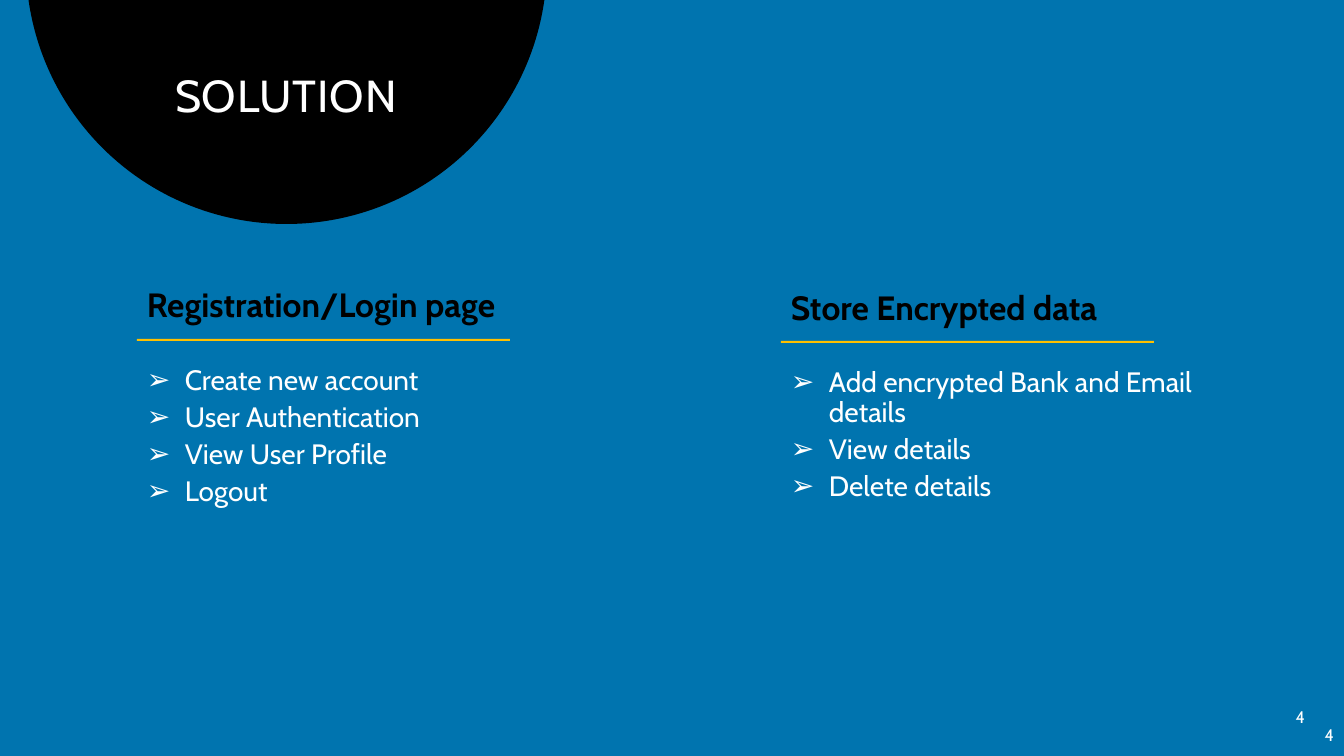
"""Build the SOLUTION slide with two headed bullet columns."""
import lxml.etree
import pptx
import pptx.dml.color
import pptx.enum.shapes
import pptx.enum.text
import pptx.oxml.ns
import pptx.util

COLOURS = {"blue": "0074AF", "black": "000000", "white": "FFFFFF", "gold": "FFC000"}
ALIGN = pptx.enum.text.PP_ALIGN
ANCHOR = pptx.enum.text.MSO_ANCHOR
SHAPE = pptx.enum.shapes.MSO_SHAPE


class SlideBuilder:
    """Hold the style and the current slide, and add its elements."""

    font = "Cabin"
    scale = 914400 / 100.8
    bullet_indent = 38

    def __init__(self, deck):
        """Set the slide size and start a title-only page."""
        deck.slide_width, deck.slide_height = self.emu(1344), self.emu(756)
        self.page = deck.slides.add_slide(deck.slide_layouts[5])
        self.paint(self.page.background.fill, "blue")

    def emu(self, px):
        """Turn px into EMU."""
        return pptx.util.Emu(round(px * self.scale))

    def colour(self, name):
        """Look up a named colour."""
        return pptx.dml.color.RGBColor.from_string(COLOURS[name])

    def paint(self, fill, name):
        """Make a fill solid in a named colour."""
        fill.solid()
        fill.fore_color.rgb = self.colour(name)

    def shape(self, kind, left, top, width, height, fill):
        """Add a plain filled shape without outline."""
        shape = self.page.shapes.add_shape(kind, *map(self.emu, (left, top, width, height)))
        shape.shadow.inherit = False
        self.paint(shape.fill, fill)
        shape.line.fill.background()

    def style(self, para, size, colour, bold=False):
        """Format every run of a paragraph."""
        for span in para.runs:
            span.font.name = self.font
            span.font.size = pptx.util.Pt(size)
            span.font.bold = bold
            span.font.color.rgb = self.colour(colour)

    def textbox(self, left, top, width, height, text):
        """Add a wrapping text box and return its frame."""
        box = self.page.shapes.add_textbox(*map(self.emu, (left, top, width, height)))
        box.text_frame.word_wrap = True
        box.text_frame.text = text
        return box.text_frame

    def title(self, left, top, width, height, text):
        """Place and format the title in front of the shapes so far."""
        title = self.page.shapes.title
        title.element.getparent().append(title.element)
        title.left, title.top, title.width, title.height = map(
            self.emu, (left, top, width, height))
        frame = title.text_frame
        frame.text = text
        frame.word_wrap = True
        frame.auto_size = pptx.enum.text.MSO_AUTO_SIZE.SHAPE_TO_FIT_TEXT
        frame.vertical_anchor = ANCHOR.TOP
        frame.margin_left = frame.margin_right = self.emu(16)
        frame.margin_top, frame.margin_bottom = self.emu(46), self.emu(5)
        para = frame.paragraphs[0]
        para.alignment = ALIGN.CENTER
        para.line_spacing = 0.9
        self.style(para, 32, "white")
        para.runs[0].font._element.set("spc", "60")

    def bullet(self, para):
        """Give a paragraph a hanging arrow bullet."""
        properties = para._p.get_or_add_pPr()
        indent = self.emu(self.bullet_indent)
        properties.set("marL", str(indent))
        properties.set("indent", str(-indent))
        tag = pptx.oxml.ns.qn
        lxml.etree.SubElement(properties, tag("a:buFont")).set("typeface", self.font)
        lxml.etree.SubElement(properties, tag("a:buChar")).set("char", "➢")

    def column(self, left, top, width, height, heading, items):
        """Add a heading, its gold rule and a bullet list."""
        frame = self.textbox(left, top, width, height, "\n".join([heading, *items]))
        for index, para in enumerate(frame.paragraphs):
            para.line_spacing = 0.9
            if index == 0:
                para.space_before, para.space_after = pptx.util.Pt(10), pptx.util.Pt(24)
                self.style(para, 24, "black", bold=True)
            else:
                para.level = 1
                para.space_before = pptx.util.Pt(5)
                self.bullet(para)
                self.style(para, 20, "white")
        self.shape(SHAPE.RECTANGLE, left, top + 55, 373, 2, "gold")

    def number(self, left, top, width, height, text):
        """Add a right-aligned page number."""
        frame = self.textbox(left, top, width, height, text)
        frame.vertical_anchor = ANCHOR.MIDDLE
        frame.paragraphs[0].alignment = ALIGN.RIGHT
        self.style(frame.paragraphs[0], 12, "white")


def main():
    """Build and save the deck."""
    deck = pptx.Presentation()
    slide = SlideBuilder(deck)
    slide.shape(SHAPE.OVAL, 26, -297, 521, 521, "black")
    slide.title(155, 28, 262, 59, "SOLUTION")
    slide.column(137, 284, 409, 278, "Registration/Login page", [
        "Create new account", "User Authentication", "View User Profile", "Logout"])
    slide.column(781, 286, 423, 186, "Store Encrypted data", [
        "Add encrypted Bank and Email details", "View details", "Delete details"])
    slide.number(1287, 715, 57, 40, "4")
    slide.number(1260, 697, 55, 40, "4")
    deck.save("out.pptx")


if __name__ == "__main__":
    main()
